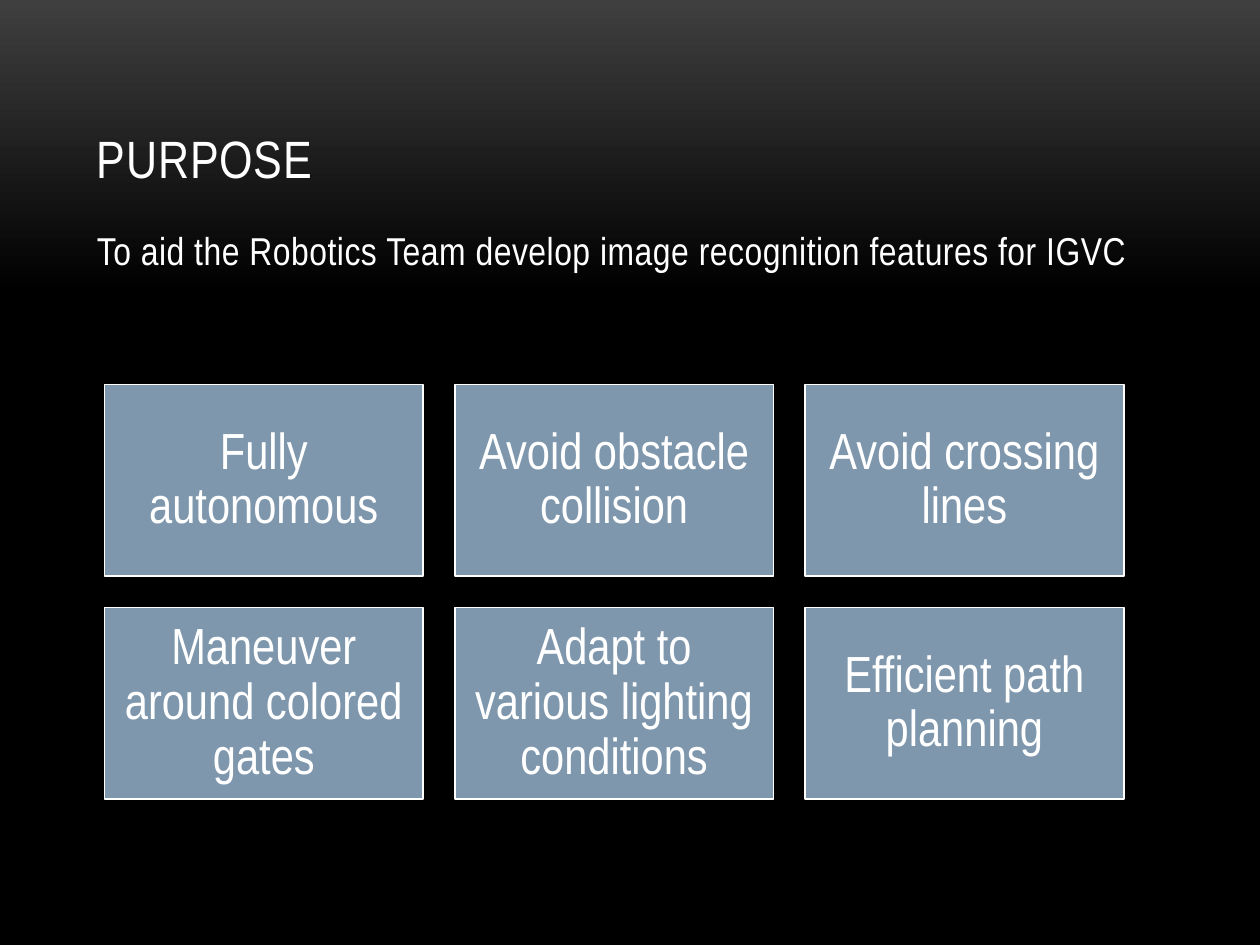
from dataclasses import dataclass

from pptx import Presentation
from pptx.dml.color import RGBColor
from pptx.enum.shapes import MSO_SHAPE as Shape
from pptx.enum.text import MSO_ANCHOR as Anchor, PP_ALIGN as Align
from pptx.util import Inches, Pt


@dataclass(frozen=True)
class Theme:
    font: str = "Arial Narrow"
    text: RGBColor = RGBColor(0xFF, 0xFF, 0xFF)
    tile: RGBColor = RGBColor(0x7E, 0x97, 0xAD)
    glow: RGBColor = RGBColor(0x3F, 0x3F, 0x3F)
    base: RGBColor = RGBColor(0, 0, 0)
    title_size: float = 30
    summary_size: float = 22.2
    tile_size: float = 29
    outline: float = 0.85


class SlideBuilder:
    def __init__(self, slide, theme):
        self.slide = slide
        self.theme = theme

    def background(self):
        """Fade from the glow at the top to the base colour at 31 %."""
        fill = self.slide.background.fill
        fill.gradient()
        fill.gradient_angle = 270
        fade = ((0, self.theme.glow), (0.31, self.theme.base))
        for stop, (position, color) in zip(fill.gradient_stops, fade):
            stop.position = position
            stop.color.rgb = color

    def set_words(self, shape, words, size, frame_format, paragraph_format, tracking=0):
        """Fill a shape with one paragraph; tracking is in points."""
        frame = shape.text_frame
        paragraph = frame.paragraphs[0]
        run = paragraph.add_run()
        run.text = words
        font_format = {"name": self.theme.font, "size": Pt(size)}
        targets = (
            (frame, {"word_wrap": True, **frame_format}),
            (paragraph, paragraph_format),
            (run.font, font_format),
        )
        for target, values in targets:
            for attribute, value in values.items():
                setattr(target, attribute, value)
        run.font.color.rgb = self.theme.text
        if tracking:
            run.font._element.set("spc", str(round(tracking * 100)))

    def text(self, words, box, size, anchor, tracking):
        label = self.slide.shapes.add_textbox(*map(Inches, box))
        self.set_words(label, words, size, {"vertical_anchor": anchor},
                       {"alignment": Align.LEFT}, tracking)

    def tile(self, words, box):
        tile = self.slide.shapes.add_shape(Shape.RECTANGLE, *map(Inches, box))
        tile.shadow.inherit = False
        tile.fill.solid()
        tile.fill.fore_color.rgb = self.theme.tile
        tile.line.color.rgb = self.theme.text
        tile.line.width = Pt(self.theme.outline)
        sides = ("left", "top", "right", "bottom")
        frame_format = {f"margin_{side}": Inches(0.12) for side in sides}
        frame_format["vertical_anchor"] = Anchor.MIDDLE
        self.set_words(tile, words, self.theme.tile_size, frame_format,
                       {"alignment": Align.CENTER, "line_spacing": 0.9})


GOALS = (
    ("Fully autonomous", "Avoid obstacle collision", "Avoid crossing lines"),
    ("Maneuver around colored gates", "Adapt to various lighting conditions",
     "Efficient path planning"),
)
GRID_LEFT, GRID_TOP = 0.83, 3.05
TILE_WIDTH, TILE_HEIGHT, GAP = 2.53, 1.52, 0.25


def main():
    deck = Presentation()
    deck.slide_width, deck.slide_height = Inches(10), Inches(7.5)
    theme = Theme()
    builder = SlideBuilder(deck.slides.add_slide(deck.slide_layouts[6]), theme)

    builder.background()
    builder.text("PURPOSE", (0.67, 0.3, 8.67, 1.25), theme.title_size,
                 Anchor.BOTTOM, 0.5)
    builder.text("To aid the Robotics Team develop image recognition features for IGVC",
                 (0.67, 1.75, 8.92, 0.58), theme.summary_size, Anchor.TOP, 0.3)
    for row, goals in enumerate(GOALS):
        for column, goal in enumerate(goals):
            left = GRID_LEFT + column * (TILE_WIDTH + GAP)
            top = GRID_TOP + row * (TILE_HEIGHT + GAP)
            builder.tile(goal, (left, top, TILE_WIDTH, TILE_HEIGHT))

    deck.save("out.pptx")


if __name__ == "__main__":
    main()
